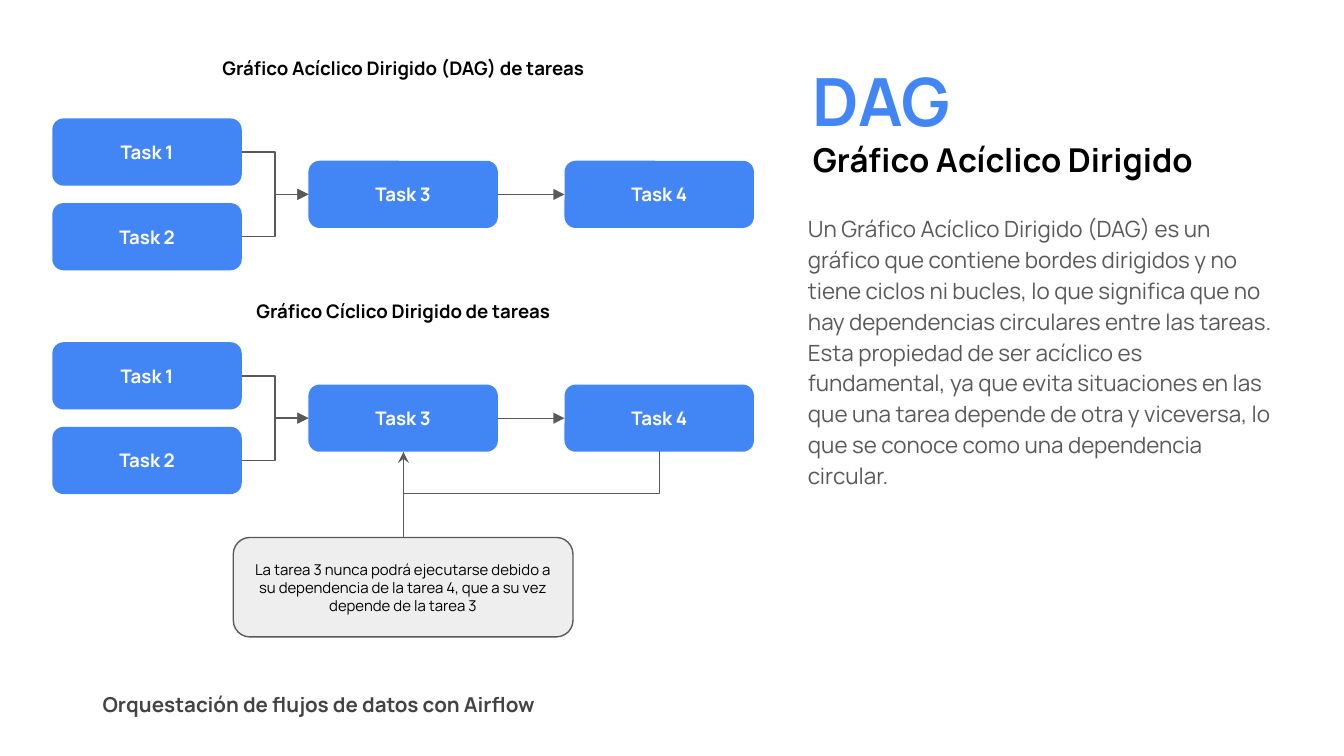
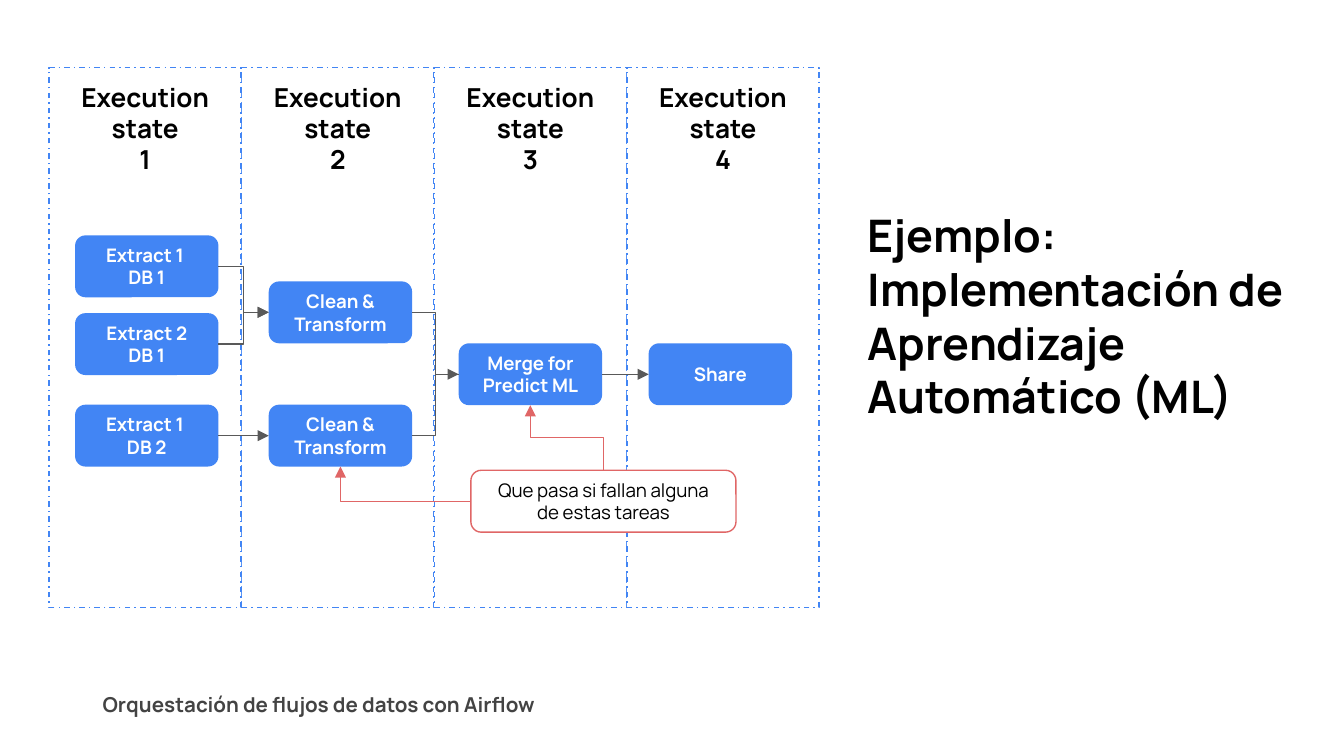
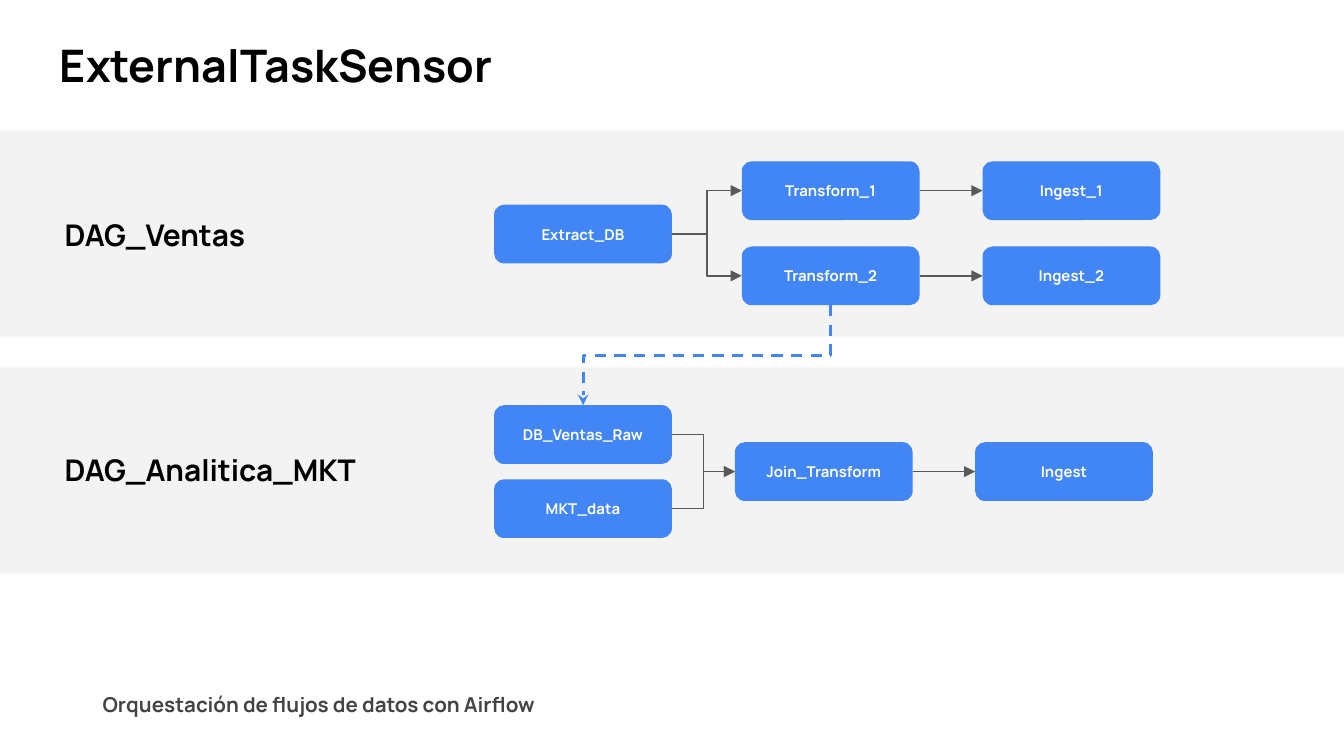
from lxml.etree import SubElement
from pptx import Presentation
from pptx.dml.color import RGBColor
from pptx.enum.dml import MSO_LINE
from pptx.enum.shapes import MSO_CONNECTOR, MSO_SHAPE
from pptx.enum.text import MSO_ANCHOR, MSO_AUTO_SIZE, PP_ALIGN
from pptx.oxml.ns import qn
from pptx.util import Cm, Pt

COLOURS = {
    "blue": "4285F4",
    "black": "000000",
    "white": "FFFFFF",
    "grey": "595959",
    "footer": "434343",
    "note": "EEEEEE",
    "band": "F3F3F3",
    "red": "E06666",
}
TOP, LEFT, BOTTOM, RIGHT = range(4)


def label(shape, text, size, colour="black", bold=True, align=PP_ALIGN.LEFT,
          anchor=MSO_ANCHOR.MIDDLE, fill=None, outline=None, unbulleted=False):
    shape.shadow.inherit = False
    if fill:
        shape.fill.solid()
        shape.fill.fore_color.rgb = RGBColor.from_string(COLOURS[fill])
    else:
        shape.fill.background()
    if outline:
        shape.line.color.rgb = RGBColor.from_string(COLOURS[outline])
        shape.line.width = Pt(0.75)
    else:
        shape.line.fill.background()
    frame = shape.text_frame
    frame.text = text
    frame.word_wrap = True
    frame.auto_size = MSO_AUTO_SIZE.NONE
    frame.vertical_anchor = anchor
    frame.margin_left = frame.margin_right = Cm(0.25)
    frame.margin_top = frame.margin_bottom = Cm(0.25)
    for paragraph in frame.paragraphs:
        paragraph.alignment = align
        paragraph.space_before = Pt(0)
        if unbulleted:
            properties = paragraph._p.get_or_add_pPr()
            properties.set("marL", "0")
            properties.set("indent", "0")
            SubElement(properties, qn("a:buNone"))
        paragraph.font.name = "Manrope"
        paragraph.font.size = Pt(size)
        paragraph.font.bold = bold
        paragraph.font.color.rgb = RGBColor.from_string(COLOURS[colour])


def link(slide, start, start_site, end, end_site, colour="grey",
         arrow="triangle", kind=MSO_CONNECTOR.ELBOW):
    connector = slide.shapes.add_connector(kind, 0, 0, 0, 0)
    connector.begin_connect(start, start_site)
    connector.end_connect(end, end_site)
    connector.line.color.rgb = RGBColor.from_string(COLOURS[colour])
    connector.line.width = Pt(0.75)
    properties = connector._element.spPr
    if arrow:
        SubElement(properties.find(qn("a:ln")), qn("a:tailEnd"), type=arrow)
    SubElement(properties, qn("a:effectLst"))
    if kind == MSO_CONNECTOR.ELBOW and {start_site, end_site} <= {TOP, BOTTOM}:
        rising = connector.begin_y > connector.end_y
        width, height = connector.width, connector.height
        connector.left += (width - height) // 2
        connector.top += (height - width) // 2
        connector.width, connector.height = height, width
        properties.xfrm.flipH = rising
        properties.xfrm.flipV = False
        properties.xfrm.set("rot", "5400000")
    return connector


deck = Presentation()
deck.slide_width, deck.slide_height = Cm(25.4), Cm(14.29)

TITLES = [
    (1, "DAG\nGráfico Acíclico Dirigido", 35.6, "blue", MSO_ANCHOR.MIDDLE,
     (15.11, 1.1, 9.27, 2.31)),
    (5, "Ejemplo: Implementación de Aprendizaje Automático (ML)", 24, "black",
     MSO_ANCHOR.TOP, (16.15, 3.68, 8.71, 4.45)),
    (5, "ExternalTaskSensor", 24, "black", MSO_ANCHOR.BOTTOM,
     (0.88, 0.71, 23.65, 1.27)),
]
for layout, text, size, colour, anchor, place in TITLES:
    slide = deck.slides.add_slide(deck.slide_layouts[layout])
    title = slide.shapes.title
    title.left, title.top, title.width, title.height = map(Cm, place)
    label(title, text, size, colour, anchor=anchor)
    footer = slide.shapes.add_textbox(Cm(1.69), Cm(12.84), Cm(9.3), Cm(0.99))
    label(footer, "Orquestación de flujos de datos con Airflow", 11, "footer",
          anchor=MSO_ANCHOR.TOP)
dag_slide, example_slide, sensor_slide = deck.slides

subtitle = dag_slide.shapes.title.text_frame.paragraphs[1]
subtitle.font.size = Pt(17.6)
subtitle.font.color.rgb = RGBColor.from_string(COLOURS["black"])

definition = dag_slide.placeholders[1]
definition.left, definition.top = Cm(15.02), Cm(3.74)
definition.width, definition.height = Cm(9.42), Cm(6.1)
label(
    definition,
    "Un Gráfico Acíclico Dirigido (DAG) es un gráfico que contiene bordes "
    "dirigidos y no tiene ciclos ni bucles, lo que significa que no hay "
    "dependencias circulares entre las tareas. Esta propiedad de ser acíclico "
    "es fundamental, ya que evita situaciones en las que una tarea depende de "
    "otra y viceversa, lo que se conoce como una dependencia circular.",
    12, "grey", bold=False, anchor=MSO_ANCHOR.TOP, unbulleted=True)
definition.text_frame.paragraphs[0].line_spacing = 1.15

GRAPHS = [
    ("Gráfico Acíclico Dirigido (DAG) de tareas", 0.89, 2.24),
    ("Gráfico Cíclico Dirigido de tareas", 5.47, 6.47),
]
for heading, heading_top, tasks_top in GRAPHS:
    caption = dag_slide.shapes.add_textbox(Cm(0.99), Cm(heading_top), Cm(13.26), Cm(0.81))
    label(caption, heading, 10, align=PP_ALIGN.CENTER)
    tasks = []
    for number, (column, drop) in enumerate([(0, 0), (0, 1.6), (1, 0.8), (2, 0.8)], 1):
        task = dag_slide.shapes.add_shape(
            MSO_SHAPE.ROUNDED_RECTANGLE, Cm(0.99 + 4.84 * column),
            Cm(tasks_top + drop), Cm(3.58), Cm(1.27))
        label(task, f"Task {number}", 10, "white", align=PP_ALIGN.CENTER, fill="blue")
        tasks.append(task)
    for source, target in [(0, 2), (1, 2), (2, 3)]:
        link(dag_slide, tasks[source], RIGHT, tasks[target], LEFT)

cycle = link(dag_slide, tasks[3], BOTTOM, tasks[2], BOTTOM, arrow="stealth")
cycle.width = Cm(0.01)
bend = cycle._element.spPr.find(qn("a:prstGeom")).get_or_add_avLst()
SubElement(bend, qn("a:gd"), name="adj1", fmla="val 8000000")
warning = dag_slide.shapes.add_shape(
    MSO_SHAPE.ROUNDED_RECTANGLE, Cm(4.41), Cm(10.16), Cm(6.42), Cm(1.88))
label(warning, "La tarea 3 nunca podrá ejecutarse debido a su dependencia de la "
      "tarea 4, que a su vez depende de la tarea 3", 8, bold=False,
      align=PP_ALIGN.CENTER, fill="note", outline="grey")
link(dag_slide, warning, TOP, tasks[2], BOTTOM, arrow=None, kind=MSO_CONNECTOR.STRAIGHT)

for state in (3, 4, 2, 1):
    stage = example_slide.shapes.add_shape(
        MSO_SHAPE.RECTANGLE, Cm(0.93 + 3.64 * (state - 1)), Cm(1.28), Cm(3.63), Cm(10.2))
    label(stage, f"Execution state\n{state}", 14, align=PP_ALIGN.CENTER,
          anchor=MSO_ANCHOR.TOP, fill="white", outline="blue")
    stage.line.dash_style = MSO_LINE.DASH_DOT

STEPS = [
    ("Extract 1 \nDB 1", 1.42, 4.45),
    ("Extract 2\nDB 1", 1.42, 5.92),
    ("Extract 1 \nDB 2", 1.42, 7.65),
    ("Clean & Transform", 5.08, 5.32),
    ("Clean & Transform", 5.08, 7.65),
    ("Merge for Predict ML", 8.67, 6.49),
    ("Share", 12.26, 6.49),
]
steps = []
for text, left, top in STEPS:
    step = example_slide.shapes.add_shape(
        MSO_SHAPE.ROUNDED_RECTANGLE, Cm(left), Cm(top), Cm(2.71), Cm(1.17))
    label(step, text, 10, "white", align=PP_ALIGN.CENTER, fill="blue")
    steps.append(step)
for source, target, arrow in [
    (0, 3, "triangle"), (1, 3, "triangle"), (2, 4, "triangle"),
    (3, 5, "triangle"), (4, 5, None), (5, 6, "triangle"),
]:
    link(example_slide, steps[source], RIGHT, steps[target], LEFT, arrow=arrow)

question = example_slide.shapes.add_shape(
    MSO_SHAPE.ROUNDED_RECTANGLE, Cm(8.9), Cm(8.89), Cm(5.01), Cm(1.17))
label(question, "Que pasa si fallan alguna de estas tareas", 10, bold=False,
      align=PP_ALIGN.CENTER, fill="white", outline="red")
corner = link(example_slide, question, LEFT, steps[4], BOTTOM, "red")
corner._element.spPr.find(qn("a:prstGeom")).set("prst", "bentConnector2")
link(example_slide, question, TOP, steps[5], BOTTOM, "red")

for name, band_top, name_top in [("DAG_Ventas", 2.47, 3.91), ("DAG_Analitica_MKT", 6.95, 8.35)]:
    band = sensor_slide.shapes.add_shape(
        MSO_SHAPE.RECTANGLE, 0, Cm(band_top), deck.slide_width, Cm(3.89))
    label(band, "", 8, fill="band")
    dag_name = sensor_slide.shapes.add_textbox(Cm(0.97), Cm(name_top), Cm(6.93), Cm(1.12))
    label(dag_name, name, 16, anchor=MSO_ANCHOR.BOTTOM)

JOBS = [
    ("Extract_DB", 9.34, 3.87),
    ("Transform_1", 14.02, 3.05),
    ("Transform_2", 14.02, 4.66),
    ("Ingest_1", 18.57, 3.05),
    ("Ingest_2", 18.57, 4.66),
    ("DB_Ventas_Raw", 9.34, 7.66),
    ("MKT_data", 9.34, 9.06),
    ("Join_Transform", 13.89, 8.36),
    ("Ingest", 18.43, 8.36),
]
jobs = {}
for name, left, top in JOBS:
    jobs[name] = sensor_slide.shapes.add_shape(
        MSO_SHAPE.ROUNDED_RECTANGLE, Cm(left), Cm(top), Cm(3.36), Cm(1.11))
    label(jobs[name], name, 8, "white", align=PP_ALIGN.CENTER, fill="blue")
for source, target in [
    ("Extract_DB", "Transform_1"), ("Extract_DB", "Transform_2"),
    ("Transform_1", "Ingest_1"), ("Transform_2", "Ingest_2"),
    ("DB_Ventas_Raw", "Join_Transform"), ("MKT_data", "Join_Transform"),
    ("Join_Transform", "Ingest"),
]:
    link(sensor_slide, jobs[source], RIGHT, jobs[target], LEFT)
sensor = link(sensor_slide, jobs["Transform_2"], BOTTOM, jobs["DB_Ventas_Raw"], TOP,
              "blue", "stealth")
sensor.line.width = Pt(1.5)
sensor.line.dash_style = MSO_LINE.DASH

deck.save("out.pptx")
